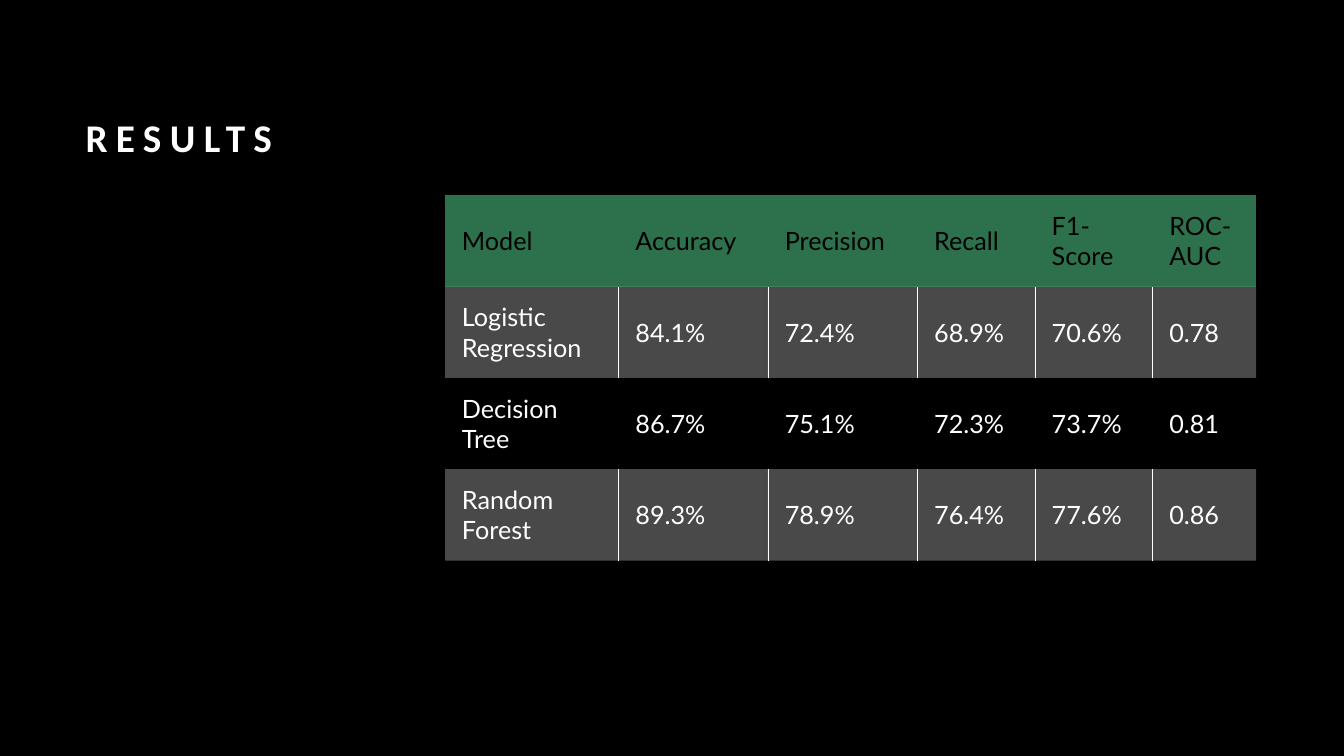
from dataclasses import dataclass

from lxml import etree
from pptx import Presentation
from pptx.dml import color
from pptx.enum import text
from pptx.oxml import ns
from pptx.util import Pt


@dataclass(frozen=True)
class Theme:
    black: str = "000000"
    white: str = "FFFFFF"
    green: str = "2D714C"
    band: str = "F2F2F2"
    band_opacity: int = 30
    title_font: str = "Calibri"
    title_size: float = 28
    title_spacing: float = 6
    table_font: str = "Lato"
    table_size: float = 18
    divider_width: float = 0.5


@dataclass(frozen=True)
class Column:
    heading: str
    width: float


@dataclass(frozen=True)
class RowStyle:
    fill: str
    ink: str
    opacity: int = 100
    divided: bool = False


THEME = Theme()
HEADER = RowStyle(THEME.green, THEME.black)
BANDED = RowStyle(THEME.band, THEME.white, THEME.band_opacity, True)
PLAIN = RowStyle(THEME.black, THEME.white)

COLUMNS = [
    Column("Model", 123.9),
    Column("Accuracy", 106.7),
    Column("Precision", 106.7),
    Column("Recall", 84),
    Column("F1-Score", 84),
    Column("ROC-AUC", 74),
]
RESULTS = [
    ("Logistic Regression", "84.1%", "72.4%", "68.9%", "70.6%", "0.78"),
    ("Decision Tree", "86.7%", "75.1%", "72.3%", "73.7%", "0.81"),
    ("Random Forest", "89.3%", "78.9%", "76.4%", "77.6%", "0.86"),
]
ROW_HEIGHT = 65.25


def rgb(value: str) -> color.RGBColor:
    return color.RGBColor.from_string(value)


def set_font(para, name: str, size: float, ink: str) -> None:
    para.font.name = name
    para.font.size = Pt(size)
    para.font.color.rgb = rgb(ink)


def add_title(page, wording: str) -> None:
    box = page.shapes.add_textbox(Pt(54), Pt(70.5), Pt(242), Pt(308))
    box.text_frame.word_wrap = True
    para = box.text_frame.paragraphs[0]
    span = para.add_run()
    span.text = wording
    para.line_spacing = 1.2
    set_font(para, THEME.title_font, THEME.title_size, THEME.white)
    para.font.bold = True
    spacing = str(int(THEME.title_spacing * 100))
    span.font._element.set("spc", spacing)


def set_borders(cell, left: bool, right: bool) -> None:
    properties = cell._tc.get_or_add_tcPr()
    sides = {"lnL": left, "lnR": right, "lnT": False, "lnB": False}
    for position, (side, visible) in enumerate(sides.items()):
        line = etree.Element(ns.qn(f"a:{side}"), w=str(Pt(THEME.divider_width)))
        if visible:
            fill = etree.SubElement(line, ns.qn("a:solidFill"))
            etree.SubElement(fill, ns.qn("a:srgbClr"), val=THEME.white)
        else:
            etree.SubElement(line, ns.qn("a:noFill"))
        properties.insert(position, line)


def fill_cell(cell, style: RowStyle) -> None:
    cell.fill.solid()
    cell.fill.fore_color.rgb = rgb(style.fill)
    if style.opacity < 100:
        tint = cell._tc.tcPr.find(".//" + ns.qn("a:srgbClr"))
        etree.SubElement(tint, ns.qn("a:alpha"), val=str(style.opacity * 1000))


def write_cell(cell, wording: str, style: RowStyle) -> None:
    cell.text = wording
    cell.vertical_anchor = text.MSO_ANCHOR.MIDDLE
    cell.margin_left = Pt(12)
    cell.margin_top = cell.margin_right = cell.margin_bottom = Pt(9.5)
    set_font(cell.text_frame.paragraphs[0], THEME.table_font, THEME.table_size, style.ink)
    fill_cell(cell, style)


def add_results(page) -> None:
    rows = [tuple(column.heading for column in COLUMNS), *RESULTS]
    width = sum(column.width for column in COLUMNS)
    frame = page.shapes.add_table(
        len(rows), len(COLUMNS), Pt(318), Pt(139.5), Pt(width), Pt(ROW_HEIGHT * len(rows))
    )
    table = frame.table
    table.first_row = table.horz_banding = False
    for index, column in enumerate(COLUMNS):
        table.columns[index].width = Pt(column.width)
    last = len(COLUMNS) - 1
    for row, values in enumerate(rows):
        table.rows[row].height = Pt(ROW_HEIGHT)
        style = HEADER if row == 0 else BANDED if row % 2 else PLAIN
        for index, value in enumerate(values):
            cell = table.cell(row, index)
            write_cell(cell, value, style)
            set_borders(cell, style.divided and index > 0, style.divided and index < last)


def main() -> None:
    deck = Presentation()
    deck.slide_width, deck.slide_height = Pt(960), Pt(540)
    page = deck.slides.add_slide(deck.slide_layouts[6])
    page.background.fill.solid()
    page.background.fill.fore_color.rgb = rgb(THEME.black)
    add_title(page, "RESULTS")
    add_results(page)
    deck.save("out.pptx")


if __name__ == "__main__":
    main()
